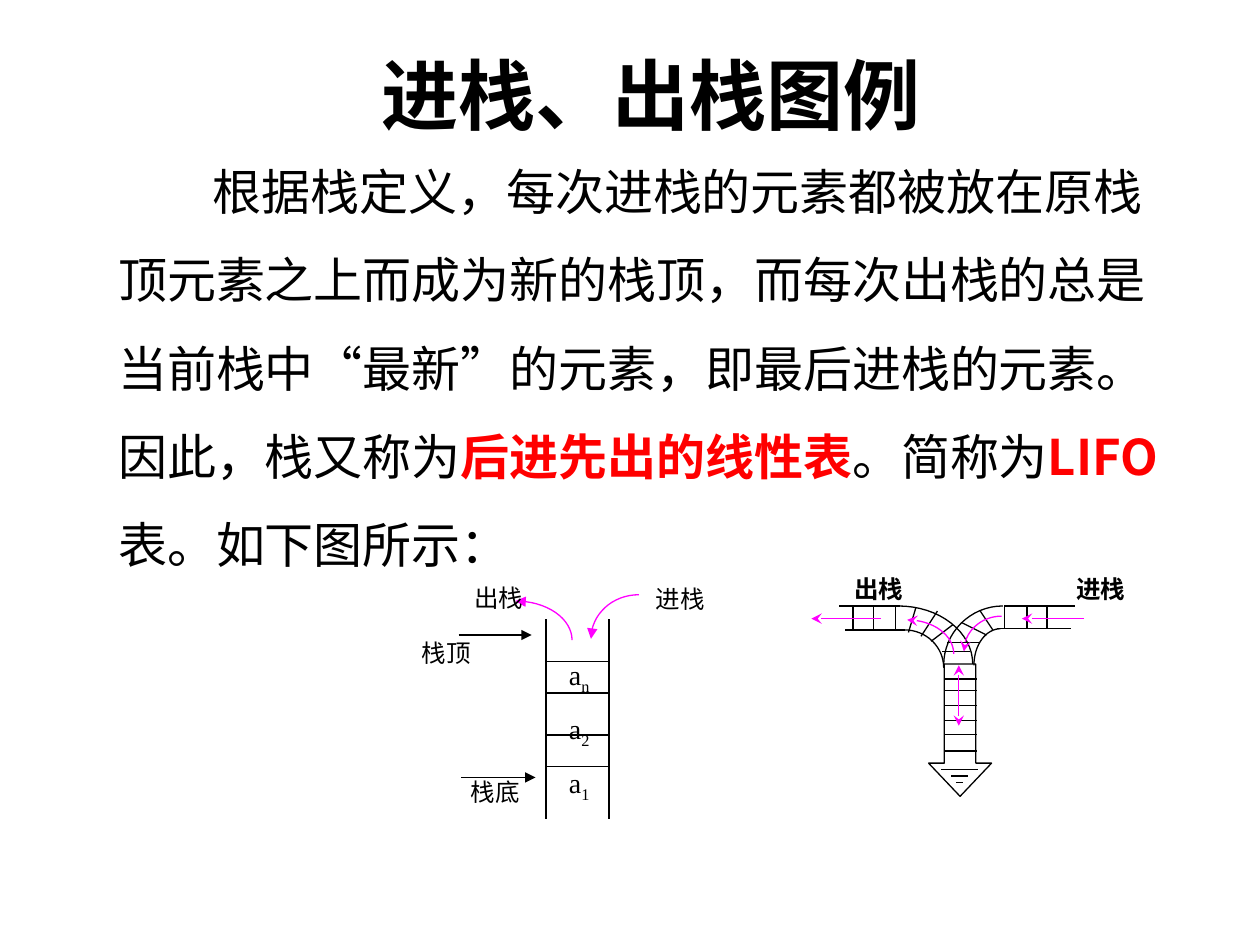
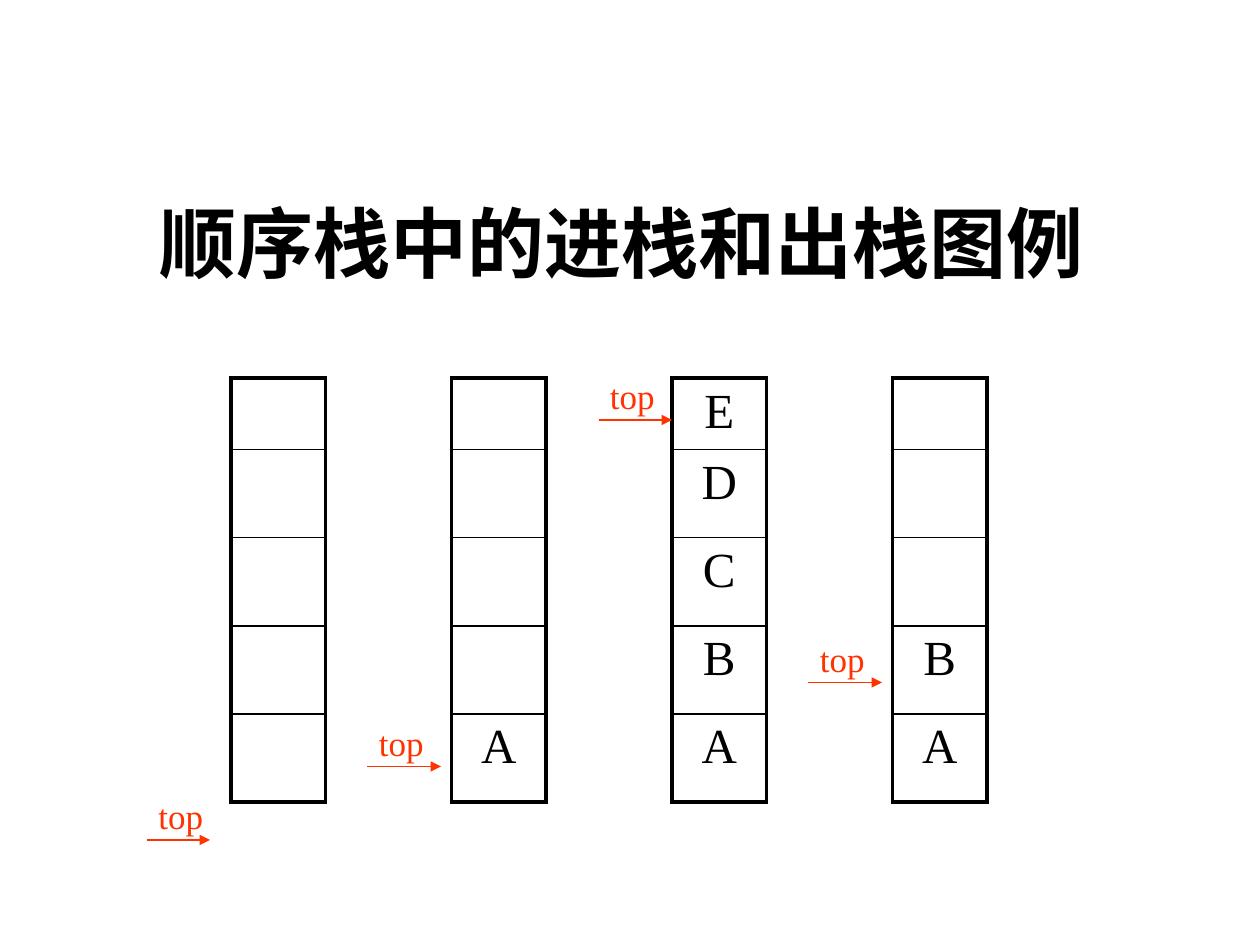
from dataclasses import dataclass
from math import cos, pi, sin

from pptx import Presentation
from pptx.dml.color import RGBColor
from pptx.enum.shapes import MSO_CONNECTOR as Link, MSO_SHAPE as Preset
from pptx.enum.text import MSO_ANCHOR as Anchor, MSO_AUTO_SIZE as AutoSize, PP_ALIGN as Align
from pptx.oxml.ns import qn
from pptx.util import Inches, Pt
from lxml.etree import SubElement, Element


@dataclass(frozen=True)
class Theme:
    """Colours, fonts, type sizes and line widths of both slides."""
    ink: str = "000000"
    paper: str = "FFFFFF"
    accent: str = "FF0000"
    flow: str = "FF00FF"
    pointer: str = "FF3300"
    serif: str = "Times New Roman"
    sans: str = "Noto Sans CJK SC"
    title: int = 44
    body: int = 28
    top: int = 20
    item: int = 16
    label: int = 14
    body_pitch: float = 50.4
    hairline: float = 0.75
    inner: float = 1
    outer: float = 2.25


THEME = Theme()
COLUMNS, ROWS = 120, 90
WIDTH, HEIGHT = Inches(10), Inches(7.5)


def col(count):
    """Turn grid columns into a length."""
    return round(WIDTH * count / COLUMNS)


def row(count):
    """Turn grid rows into a length."""
    return round(HEIGHT * count / ROWS)


def grid_box(left, top, width, height):
    """Turn a grid cell range into a position and a size."""
    return col(left), row(top), col(width), row(height)


def assign(target, values):
    """Set every attribute named in values."""
    for name, value in values.items():
        setattr(target, name, value)


def add_run(paragraph, text, size, color=THEME.ink, bold=False, face=THEME.sans, baseline=0):
    """Append one formatted run."""
    run = paragraph.add_run()
    run.text = text
    assign(run.font, {"size": Pt(size), "bold": bold, "name": face})
    run.font.color.rgb = RGBColor.from_string(color)
    properties = run._r.get_or_add_rPr()
    SubElement(properties, qn("a:ea")).set("typeface", THEME.sans)
    if baseline:
        properties.set("baseline", str(baseline))


def frame_text(holder, anchor=Anchor.MIDDLE, **margins):
    """Prepare a text frame and return its first paragraph."""
    frame = holder.text_frame
    assign(frame, {"word_wrap": True, "auto_size": AutoSize.NONE, "vertical_anchor": anchor, **margins})
    return frame.paragraphs[0]


def add_title(slide, text, box, align):
    """Place the title placeholder and fill it."""
    title = slide.shapes.title
    assign(title, dict(zip(("left", "top", "width", "height"), grid_box(*box))))
    paragraph = frame_text(title)
    paragraph.alignment = align
    add_run(paragraph, text, THEME.title, bold=True, face=THEME.serif)


def add_label(slide, text, box, align=Align.CENTER, **style):
    """Add a short caption centred on its height."""
    paragraph = frame_text(slide.shapes.add_textbox(*grid_box(*box)), margin_top=0, margin_bottom=0)
    paragraph.alignment = align
    add_run(paragraph, text, **{"size": THEME.label, **style})


def style_line(shape, color, head=None, tail=None):
    """Colour a line and give it arrowheads."""
    shape.line.width = Pt(THEME.hairline)
    shape.line.color.rgb = RGBColor.from_string(color)
    for tag, kind in (("a:headEnd", head), ("a:tailEnd", tail)):
        if kind:
            SubElement(shape.line._get_or_add_ln(), qn(tag)).set("type", kind)


def add_line(slide, x1, y1, x2, y2, color=THEME.ink, **ends):
    """Draw a straight connector between two grid points."""
    line = slide.shapes.add_connector(Link.STRAIGHT, col(x1), row(y1), col(x2), row(y2))
    style_line(line, color, **ends)
    SubElement(line._element.spPr, qn("a:effectLst"))


def add_bend(slide, x1, y1, x2, y2, color=THEME.ink, steps=16, **ends):
    """Draw a quarter ellipse that leaves level and arrives upright."""
    angles = [pi / 2 * step / steps for step in range(steps + 1)]
    points = [(col(x1 + (x2 - x1) * sin(a)), row(y1 + (y2 - y1) * (1 - cos(a)))) for a in angles]
    builder = slide.shapes.build_freeform(*points[0])
    builder.add_line_segments(points[1:], close=False)
    bend = builder.convert_to_shape()
    bend.fill.background()
    bend.shadow.inherit = False
    style_line(bend, color, **ends)


def add_definition(slide):
    """Write the paragraph that defines the stack as LIFO."""
    box = slide.shapes.add_textbox(*grid_box(10.08, 11.04, 104.04, 42.84))
    paragraph = frame_text(box, Anchor.TOP, margin_top=Inches(0.13))
    paragraph.line_spacing = Pt(THEME.body_pitch)
    paragraph._p.get_or_add_pPr().set("indent", str(col(9)))
    parts = [
        ("根据栈定义，每次进栈的元素都被放在原栈顶元素之上而成为新的栈顶，而每次出栈的总是"
         "当前栈中“最新”的元素，即最后进栈的元素。因此，栈又称为", False),
        ("后进先出的线性表", True),
        ("。简称为", False),
        ("LIFO", True),
        ("表。如下图所示：", False),
    ]
    for text, stressed in parts:
        add_run(paragraph, text, THEME.body, THEME.accent if stressed else THEME.ink, stressed)


def add_track(slide):
    """Draw the railway siding that works like a stack."""
    siding = slide.shapes.add_shape(Preset.DOWN_ARROW, *grid_box(88.44, 63.24, 6, 12.6))
    siding.adjustments[0], siding.adjustments[1] = 0.5, 0.526
    siding.fill.solid()
    siding.fill.fore_color.rgb = RGBColor.from_string(THEME.paper)
    siding.shadow.inherit = False
    style_line(siding, THEME.ink)
    upper, lower, middle = 57.72, 59.88, 58.92
    for bend in ((95.28, lower, 92.76, 63.36), (95.52, upper, 89.88, 63.36),
                 (86.16, 60, 89.88, 63.6), (85.56, upper, 92.64, 63.24)):
        add_bend(slide, *bend)
    rails = [(95.64, upper, 102.36), (94.92, lower, 102), (85.68, upper, 79.92), (86.16, 60, 80.52)]
    ground = [(89.64, 73.32, 93.12), (90.6, 73.92, 92.16), (91.08, 74.52, 91.68)]
    ties = [(90.24, 61.2, 93.24), (89.76, 62.04, 92.4)]
    ties += [(89.94, y, 93) for y in (64.68, 65.76, 67.2, 68.64, 69.96, 71.52)]
    for start, y, end in rails + ground + ties:
        add_line(slide, start, y, end, y)
    for x in (81.24, 83.16, 85.32, 95.64, 97.8, 99.72):
        add_line(slide, x, lower, x, upper)
    for slant in ((87.24, 57.84, 86.52, 60.24), (89.28, 58.2, 87.72, 60.6),
                  (90.72, 59.52, 88.68, 61.08), (91.56, 59.28, 93.96, 60.48),
                  (93.36, 58.2, 94.56, 60)):
        add_line(slide, *slant)
    add_line(slide, 91.32, 63.36, 91.32, 69.12, THEME.flow, head="stealth", tail="stealth")
    for start, end in ((103.2, 97.32), (83.88, 77.28)):
        add_line(slide, start, middle, end, middle, THEME.flow, tail="stealth")
    add_bend(slide, 86.4, 59.04, 90.84, 62.28, THEME.flow, head="stealth")
    add_bend(slide, 95.4, 58.68, 91.8, 62.04, THEME.flow, tail="stealth")
    for text, left in (("进栈", 98.16), ("出栈", 77.04)):
        add_label(slide, text, (left, 54, 13.32, 4.2), bold=True)


def add_open_stack(slide):
    """Draw the open stack with its items and captions."""
    left, right = 52, 58
    add_bend(slide, 60.84, 56.64, 56.28, 60.84, THEME.flow, tail="triangle")
    add_bend(slide, 49.08, 57.24, 54.48, 60.96, THEME.flow, head="triangle")
    add_label(slide, "进栈", (58.56, 55.08, 12.48, 3.96))
    add_label(slide, "出栈", (42.6, 54.96, 9.84, 3.84))
    add_label(slide, "栈顶", (39, 60.36, 8.52, 3.6), Align.JUSTIFY)
    add_label(slide, "栈底", (42.36, 73.68, 9.6, 3.48))
    for start, y, end in ((43.68, 60.48, 50.64), (43.92, 74.04, 51)):
        add_line(slide, start, y, end, y, tail="triangle")
    for x in (right, left):
        add_line(slide, x, 59, x, 78)
    for y in (63, 66, 70, 73):
        add_line(slide, left, y, right, y)
    items = slide.shapes.add_textbox(*grid_box(53, 62, 22, 14))
    paragraph = frame_text(items, Anchor.TOP)
    for index, mark in enumerate("n21"):
        if index:
            paragraph = items.text_frame.add_paragraph()
            paragraph.space_before = Pt(9)
        add_run(paragraph, "a", THEME.item, face=THEME.serif)
        add_run(paragraph, mark, THEME.item, face=THEME.serif, baseline=-25000)


def set_borders(cell, widths):
    """Draw the left, right, top and bottom borders of a cell."""
    properties = cell._tc.get_or_add_tcPr()
    for place, (side, width) in enumerate(zip("LRTB", widths)):
        border = Element(qn(f"a:ln{side}"), w=str(Pt(width)))
        fill = SubElement(border, qn("a:solidFill"))
        SubElement(fill, qn("a:srgbClr")).set("val", THEME.ink)
        properties.insert(place, border)


def add_stack_table(slide, left, items):
    """Draw one stack as a table, its items listed from the bottom up."""
    heights = (6.8, 8.4, 8.4, 8.4, 8.4)
    size = len(heights)
    table = slide.shapes.add_table(size, 1, *grid_box(left, 36, 9, sum(heights))).table
    assign(table, {"first_row": False, "horz_banding": False})
    for level, (height, text) in enumerate(zip(heights, items.ljust(size)[::-1])):
        table.rows[level].height = row(height)
        cell = table.cell(level, 0)
        cell.fill.background()
        top = THEME.inner if level else THEME.outer
        bottom = THEME.inner if level < size - 1 else THEME.outer
        set_borders(cell, (THEME.outer, THEME.outer, top, bottom))
        if text.strip():
            paragraph = cell.text_frame.paragraphs[0]
            paragraph.alignment = Align.CENTER
            add_run(paragraph, text, THEME.body, face=THEME.serif)


def add_top_pointer(slide, start, y, end):
    """Draw an arrow to the stack top with its caption above."""
    add_line(slide, start, y, end, y, THEME.pointer, tail="triangle")
    add_label(slide, "top", (start - 0.1, y - 4.9, 8, 5.16), Align.LEFT,
              size=THEME.top, color=THEME.pointer, face=THEME.serif)


def build_concept(slide):
    """Build the slide on pushing and popping."""
    add_definition(slide)
    add_title(slide, "进栈、出栈图例", (25.56, 3.84, 72.96, 10.08), Align.CENTER)
    add_track(slide)
    add_open_stack(slide)


def build_sequence(slide):
    """Build the slide on the states of a sequential stack."""
    add_title(slide, "顺序栈中的进栈和出栈图例", (14, 18, 91.92, 10.08), Align.LEFT)
    for index, items in enumerate(("", "A", "ABCDE", "AB")):
        add_stack_table(slide, 22 + 21 * index, items)
    for pointer in ((14, 80, 20), (35, 73, 42), (57, 40, 64), (77, 65, 84)):
        add_top_pointer(slide, *pointer)


def main():
    """Build and save the presentation."""
    deck = Presentation()
    assign(deck, {"slide_width": WIDTH, "slide_height": HEIGHT})
    for build in (build_concept, build_sequence):
        build(deck.slides.add_slide(deck.slide_layouts[5]))
    deck.save("out.pptx")


main()
